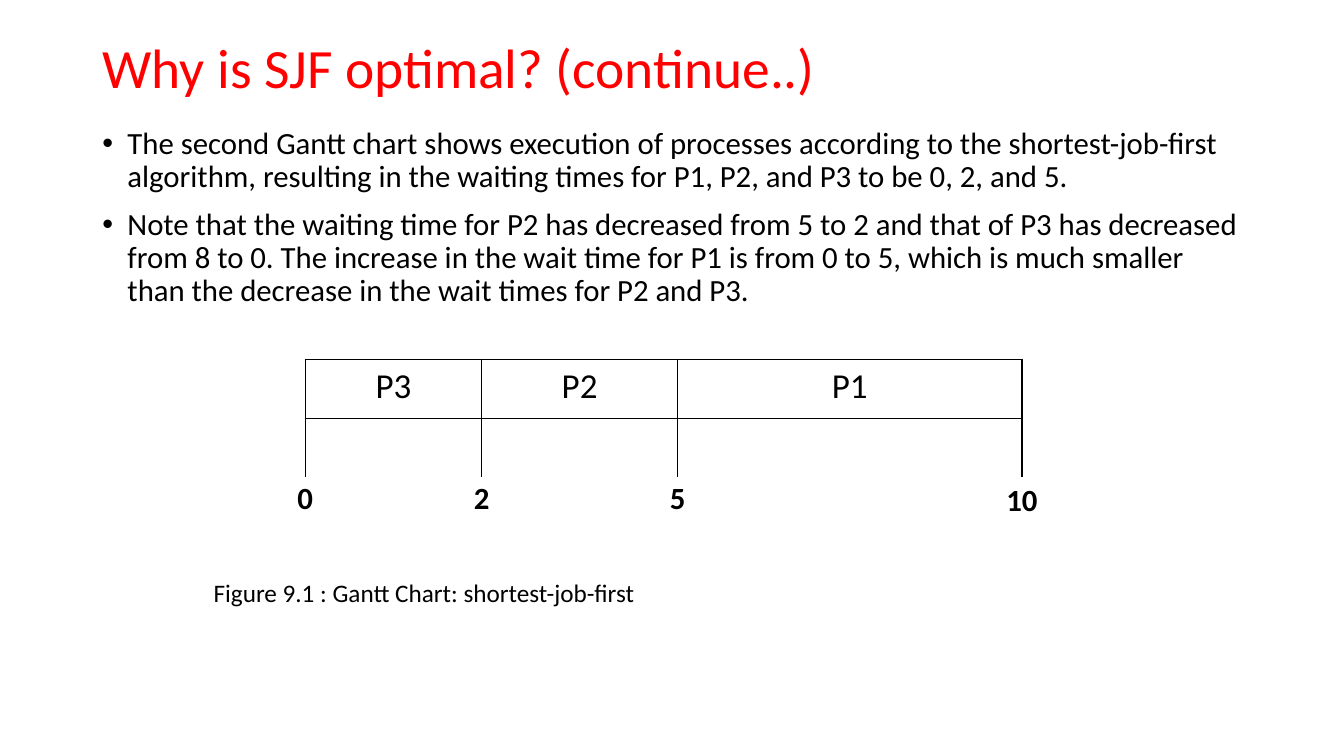
from itertools import accumulate

from lxml.etree import SubElement
from pptx import Presentation
from pptx.dml.color import RGBColor
from pptx.enum.text import MSO_ANCHOR, MSO_AUTO_SIZE, PP_ALIGN
from pptx.oxml.ns import qn
from pptx.util import Pt

# Content
TITLE = "Why is SJF optimal? (continue..)"
BULLETS = [
    "The second Gantt chart shows execution of processes according to the shortest-job-first "
    "algorithm, resulting in the waiting times for P1, P2, and P3 to be 0, 2, and 5.",
    "Note that the waiting time for P2 has decreased from 5 to 2 and that of P3 has decreased "
    "from 8 to 0. The increase in the wait time for P1 is from 0 to 5, which is much smaller "
    "than the decrease in the wait times for P2 and P3.",
]
PROCESSES = [("P3", 126), ("P2", 140), ("P1", 246)]  # name, column width
TIMES = ["0", "2", "5", "10"]
CAPTION = "Figure 9.1 : Gantt Chart: shortest-job-first"

# Layout and formats
TEXT_LEFT, TEXT_WIDTH = 66, 828
GANTT_LEFT, GANTT_TOP, ROW_HEIGHT = 218, 257, 42
LABEL_TOP, LABEL_WIDTH, LABEL_HEIGHT = 338.5, 44, 34
BLACK, RED, WHITE = "000000", "FF0000", "FFFFFF"
TITLE_FONT = {"size": Pt(39.6)}
BODY_FONT = {"size": Pt(22)}
PROCESS_FONT = {"size": Pt(25)}
TIME_FONT = {"size": Pt(22), "bold": True}
CAPTION_FONT = {"size": Pt(18)}
CENTERED = {"alignment": PP_ALIGN.CENTER}


def rgb(color):
    return RGBColor.from_string(color)


def write(paragraph, text, font, layout=None, color=BLACK):
    run = paragraph.add_run()
    run.text = text
    for name, value in {"name": "Calibri", **font}.items():
        setattr(run.font, name, value)
    run.font.color.rgb = rgb(color)
    for name, value in (layout or {}).items():
        setattr(paragraph, name, value)


def add_text_frame(slide, left, top, width, height, wrap=True):
    box = slide.shapes.add_textbox(Pt(left), Pt(top), Pt(width), Pt(height))
    box.text_frame.word_wrap = wrap
    return box.text_frame


def add_bullet(paragraph):
    properties = paragraph._p.get_or_add_pPr()
    properties.set("marL", str(Pt(18)))
    properties.set("indent", str(-Pt(18)))
    SubElement(properties, qn("a:buFont"), typeface="Arial")
    SubElement(properties, qn("a:buChar"), char="•")


def set_borders(cell, sides, open_sides=""):
    properties = cell._tc.get_or_add_tcPr()
    for side in sides:
        line = SubElement(properties, qn(f"a:ln{side}"), w=str(Pt(1)))
        if side in open_sides:
            SubElement(line, qn("a:noFill"))
        else:
            fill = SubElement(line, qn("a:solidFill"))
            SubElement(fill, qn("a:srgbClr"), val=BLACK)


presentation = Presentation()
presentation.slide_width, presentation.slide_height = Pt(960), Pt(540)
slide = presentation.slides.add_slide(presentation.slide_layouts[5])

# Title
title = slide.shapes.title
title.left, title.top, title.width, title.height = Pt(TEXT_LEFT), Pt(29), Pt(TEXT_WIDTH), Pt(42.5)
title.text_frame.auto_size = MSO_AUTO_SIZE.NONE
title.text_frame.vertical_anchor = MSO_ANCHOR.MIDDLE
write(title.text_frame.paragraphs[0], TITLE, TITLE_FONT,
      {"alignment": PP_ALIGN.LEFT, "line_spacing": 0.9}, RED)

# Bulleted explanation
body = add_text_frame(slide, TEXT_LEFT, 88, TEXT_WIDTH, 152.5)
for index, text in enumerate(BULLETS):
    paragraph = body.add_paragraph() if index else body.paragraphs[0]
    write(paragraph, text, BODY_FONT, {"line_spacing": 0.9, "space_before": Pt(10)})
    add_bullet(paragraph)

# Gantt table: process names above, open cells as tick marks below
widths = [width for _, width in PROCESSES]
table = slide.shapes.add_table(2, len(PROCESSES), Pt(GANTT_LEFT), Pt(GANTT_TOP),
                               Pt(sum(widths)), Pt(2 * ROW_HEIGHT)).table
table.first_row = table.horz_banding = False
for row in table.rows:
    row.height = Pt(ROW_HEIGHT)
for index, (process, width) in enumerate(PROCESSES):
    table.columns[index].width = Pt(width)
    name_cell, tick_cell = table.cell(0, index), table.cell(1, index)
    write(name_cell.text_frame.paragraphs[0], process, PROCESS_FONT, CENTERED)
    set_borders(name_cell, "LRTB")
    set_borders(tick_cell, "LRTB", open_sides="B")
    for cell in (name_cell, tick_cell):
        cell.fill.solid()
        cell.fill.fore_color.rgb = rgb(WHITE)

# Time labels centred under the column edges
for time, edge in zip(TIMES, accumulate(widths, initial=GANTT_LEFT)):
    top = LABEL_TOP + (1.5 if time == TIMES[-1] else 0)
    label = add_text_frame(slide, edge - LABEL_WIDTH / 2, top, LABEL_WIDTH, LABEL_HEIGHT)
    write(label.paragraphs[0], time, TIME_FONT, CENTERED)

# Caption
caption = add_text_frame(slide, 145.5, 409, 320, 29, wrap=False)
write(caption.paragraphs[0], CAPTION, CAPTION_FONT)

presentation.save("out.pptx")
